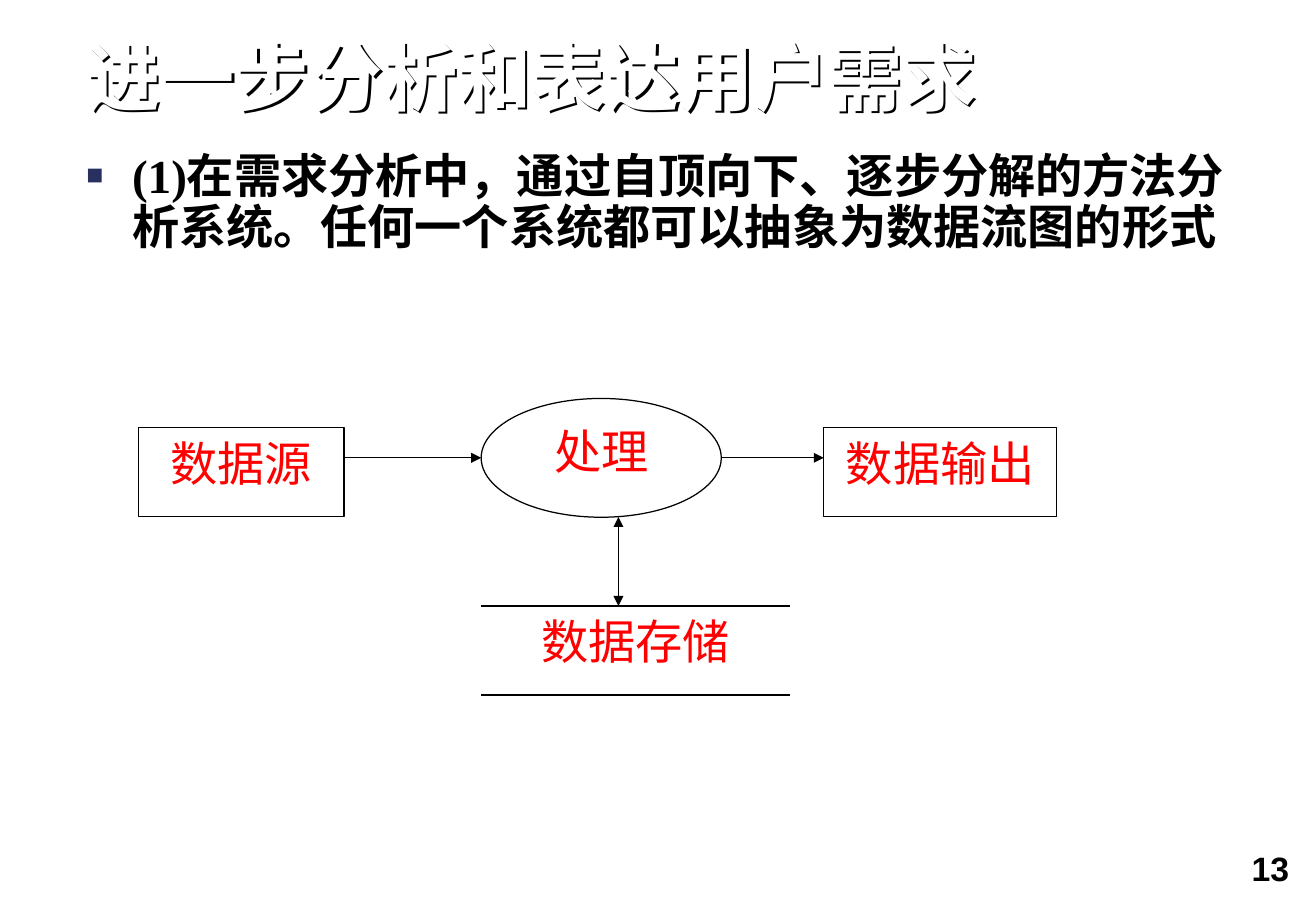
"""Build a slide that shows a system as a data flow diagram."""
from lxml import etree
from pptx import Presentation
from pptx.dml.color import RGBColor
from pptx.enum import shapes, text
from pptx.oxml import ns
from pptx.util import Pt

BLACK, WHITE, RED, NAVY = "000000", "FFFFFF", "FF0000", "27305F"
SERIF, SANS = "Times New Roman", "Arial"
ALIGN, ANCHOR = text.PP_ALIGN, text.MSO_ANCHOR


def colour(value):
    """Turn a hex string into a colour."""
    return RGBColor.from_string(value)


def add_element(parent, tag, **attributes):
    """Append a drawing element to its parent."""
    names = {name: str(value) for name, value in attributes.items()}
    return etree.SubElement(parent, ns.qn(tag), names)


def write(shape, words, size, font, ink, bold=False, align=ALIGN.LEFT,
          margins=(0, 0), anchor=ANCHOR.TOP):
    """Put one formatted paragraph in a shape."""
    frame = shape.text_frame
    frame.text = words
    frame.word_wrap = True
    frame.vertical_anchor = anchor
    frame.margin_left = frame.margin_right = Pt(margins[0])
    frame.margin_top = frame.margin_bottom = Pt(margins[1])
    para = frame.paragraphs[0]
    para.alignment = align
    span = para.runs[0]
    span.font.size = Pt(size)
    span.font.name = font
    span.font.bold = bold
    span.font.color.rgb = colour(ink)


def add_text(page, place, *words, **style):
    """Add a text box."""
    box = page.shapes.add_textbox(*map(Pt, place))
    write(box, *words, **style)
    return box


def add_bullet(para, mark, ink, percent, indent):
    """Give a paragraph a hanging bullet."""
    properties = para._p.get_or_add_pPr()
    properties.set("marL", str(Pt(indent)))
    properties.set("indent", str(-Pt(indent)))
    add_element(add_element(properties, "a:buClr"), "a:srgbClr", val=ink)
    add_element(properties, "a:buSzPct", val=percent * 1000)
    add_element(properties, "a:buFont", typeface=SANS)
    add_element(properties, "a:buChar", char=mark)


def add_shadow(box, ink, distance):
    """Cast a hard shadow from the letters of an unfilled box."""
    effects = add_element(box._element.spPr, "a:effectLst")
    shadow = add_element(effects, "a:outerShdw", dist=Pt(distance),
                         dir=2700000, algn="ctr", rotWithShape=0)
    add_element(shadow, "a:srgbClr", val=ink)


def add_node(page, kind, place, words, outlined=True):
    """Add a labelled node of the diagram."""
    node = page.shapes.add_shape(kind, *map(Pt, place))
    node.shadow.inherit = False
    node.fill.solid()
    node.fill.fore_color.rgb = colour(WHITE)
    if outlined:
        node.line.color.rgb = colour(BLACK)
        node.line.width = Pt(0.75)
    else:
        node.line.fill.background()
    write(node, words, 28, SERIF, RED, align=ALIGN.CENTER, margins=(7.2, 3.6))


def add_line(page, start, end, arrows=()):
    """Add a straight line with arrowheads at the named ends."""
    line = page.shapes.add_connector(
        shapes.MSO_CONNECTOR.STRAIGHT, *map(Pt, start + end))
    line.line.color.rgb = colour(BLACK)
    line.line.width = Pt(0.75)
    for tag in arrows:
        add_element(line.line._get_or_add_ln(), tag, type="triangle")
    add_element(line._element.spPr, "a:effectLst")


def add_diagram(page):
    """Draw the source, process, output and store with their flows."""
    rectangle, oval = shapes.MSO_SHAPE.RECTANGLE, shapes.MSO_SHAPE.OVAL
    height, box_top, store_top = 52.8, 253.6, 359.2
    store_left, store_right = 285.4, 468.3
    flow, middle = 271.4, 366.8
    add_node(page, rectangle,
             (store_left, store_top, store_right - store_left, height),
             "数据存储", outlined=False)
    add_node(page, rectangle, (82.2, box_top, 121.8, height), "数据源")
    add_node(page, rectangle, (488.6, box_top, 138, height), "数据输出")
    add_node(page, oval, (store_left, 236.2, 142.4, 70.4), "处理")
    for start, end in ((204, store_left), (427.8, 488.6)):
        add_line(page, (start, flow), (end, flow), ["a:tailEnd"])
    add_line(page, (middle, box_top + height), (middle, store_top),
             ["a:headEnd", "a:tailEnd"])
    for level in (store_top, store_top + height):
        add_line(page, (store_left, level), (store_right, level))


def main():
    """Build the slide and save it."""
    deck = Presentation()
    deck.slide_width, deck.slide_height = Pt(780.48), Pt(540)
    page = deck.slides.add_slide(deck.slide_layouts[6])
    add_text(page, (576.8, 498.2, 197.2, 41.8), "13", 20, SANS, BLACK,
             bold=True, align=ALIGN.RIGHT, margins=(9.4, 4.6))
    title = add_text(page, (51.3, 24.4, 695, 47.6),
                     "进一步分析和表达用户需求", 44, SANS, WHITE,
                     bold=True, anchor=ANCHOR.BOTTOM)
    title.text_frame.paragraphs[0].line_spacing = 0.9
    add_shadow(title, BLACK, 2)
    body = add_text(
        page, (51.3, 90.2, 695, 60.4),
        "(1)在需求分析中，通过自顶向下、逐步分解的方法分析系统。"
        "任何一个系统都可以抽象为数据流图的形式",
        28, SERIF, BLACK, bold=True)
    para = body.text_frame.paragraphs[0]
    add_bullet(para, "■", NAVY, 60, 27)
    para.line_spacing = 0.9
    add_diagram(page)
    deck.save("out.pptx")


if __name__ == "__main__":
    main()
